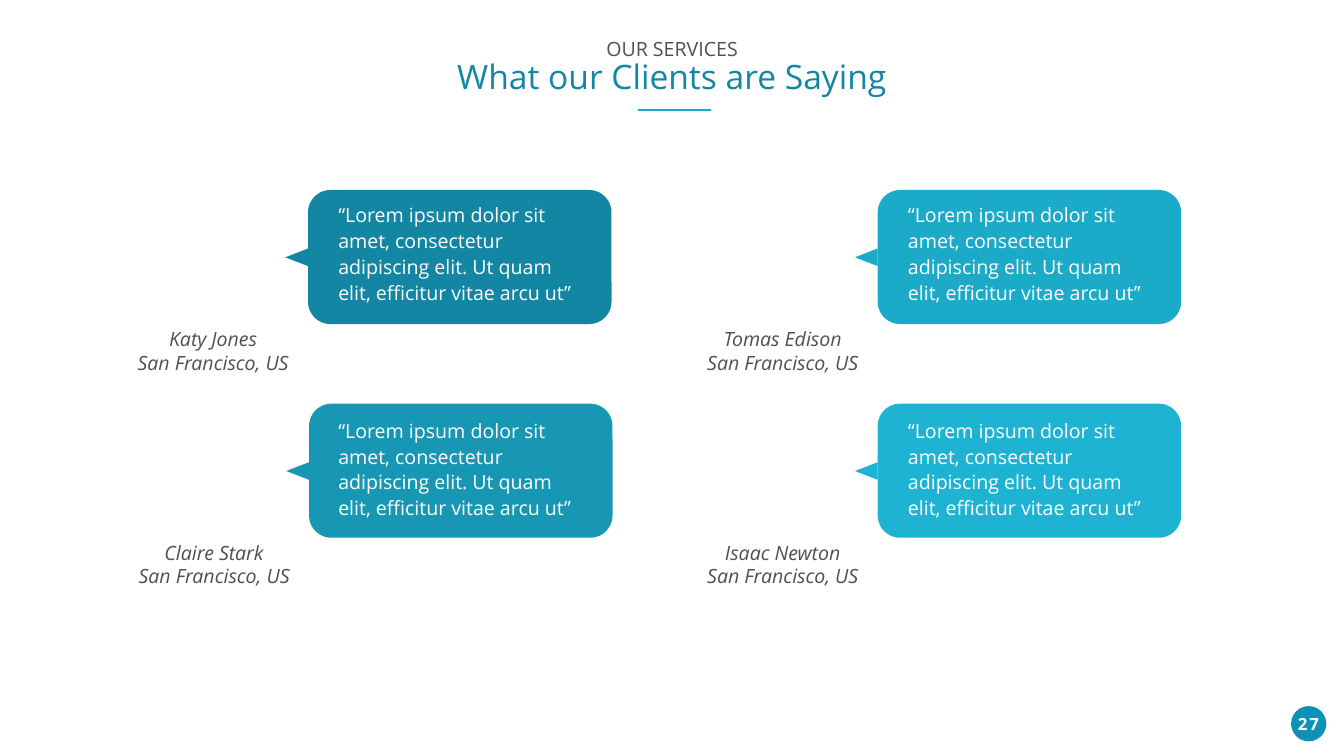
from pptx import Presentation
from pptx.dml.color import RGBColor
from pptx.enum.shapes import MSO_CONNECTOR, MSO_SHAPE
from pptx.enum.text import MSO_ANCHOR, PP_ALIGN
from pptx.oxml.ns import qn
from pptx.util import Pt
from lxml import etree

PX = 9144
LEFT, CENTER = PP_ALIGN.LEFT, PP_ALIGN.CENTER
TOP, MIDDLE = MSO_ANCHOR.TOP, MSO_ANCHOR.MIDDLE
ROUNDED, TRIANGLE, OVAL = MSO_SHAPE.ROUNDED_RECTANGLE, MSO_SHAPE.ISOSCELES_TRIANGLE, MSO_SHAPE.OVAL
STRAIGHT = MSO_CONNECTOR.STRAIGHT

WHITE = RGBColor(0xFF, 0xFF, 0xFF)
GRAY = RGBColor(0x50, 0x50, 0x50)
DEEP_TEAL = RGBColor(0x13, 0x86, 0xA3)
TEAL = RGBColor(0x18, 0x97, 0xB5)
AQUA = RGBColor(0x1C, 0xAA, 0xC9)
SKY = RGBColor(0x1F, 0xB3, 0xD3)
BADGE_BLUE = RGBColor(0x0E, 0x91, 0xB7)

QUOTE = "“Lorem ipsum dolor sit amet, consectetur adipiscing elit. Ut quam elit, efficitur vitae arcu ut”"
CITY = "San Francisco, US"
TITLE_STYLE = {"size": Pt(48), "color": DEEP_TEAL}
LABEL_STYLE = {"size": Pt(28), "color": GRAY}
NAME_STYLE = {"size": Pt(28), "color": GRAY, "italic": True}
QUOTE_STYLE = {"size": Pt(28), "color": WHITE}
NUMBER_STYLE = {"size": Pt(24), "color": WHITE, "bold": True}


def add_filled(shapes, kind, box, color):
    shape = shapes.add_shape(kind, *[value * PX for value in box])
    shape.shadow.inherit = False
    shape.fill.solid()
    shape.fill.fore_color.rgb = color
    shape.line.fill.background()
    return shape


def add_text(box, lines, align=CENTER, anchor=TOP, wrap=False, insets=(10, 5, 10, 5), spacing=1.0):
    frame = slide.shapes.add_textbox(*[value * PX for value in box]).text_frame
    frame.word_wrap = wrap
    frame.vertical_anchor = anchor
    for side, inset in zip(("left", "top", "right", "bottom"), insets):
        setattr(frame, f"margin_{side}", inset * PX)
    for index, (text, style) in enumerate(lines):
        paragraph = frame.add_paragraph() if index else frame.paragraphs[0]
        paragraph.alignment = align
        paragraph.line_spacing = spacing
        run = paragraph.add_run()
        run.text = text
        run.font.name = "Open Sans"
        for name, value in style.items():
            if name == "color":
                run.font.color.rgb = value
            else:
                setattr(run.font, name, value)
    return frame


presentation = Presentation()
presentation.slide_width = 2666 * PX
presentation.slide_height = 1500 * PX
slide = presentation.slides.add_slide(presentation.slide_layouts[6])

add_filled(slide.shapes, OVAL, (2561, 1401, 70, 70), BADGE_BLUE)
number = add_text((2556, 1411, 79, 50), [("27", NUMBER_STYLE)], wrap=True)
number.paragraphs[0].runs[0].font._element.set("spc", "300")

add_text(
    (892, 74, 882, 125),
    [("OUR SERVICES", LABEL_STYLE), ("What our Clients are Saying", TITLE_STYLE)],
    spacing=0.9,
)
underline = slide.shapes.add_connector(STRAIGHT, 1266 * PX, 218 * PX, 1410 * PX, 218 * PX)
underline.line.color.rgb = AQUA
underline.line.width = Pt(3)
etree.SubElement(underline._element.spPr, qn("a:effectLst"))

testimonials = [
    ("Katy Jones", DEEP_TEAL, 611, 377, 651, 403),
    ("Tomas Edison", AQUA, 1741, 377, 1781, 403),
    ("Claire Stark", TEAL, 613, 801, 651, 830),
    ("Isaac Newton", SKY, 1741, 801, 1781, 830),
]
for client, color, left, top, quote_left, quote_top in testimonials:
    bubble = slide.shapes.add_group_shape()
    add_filled(bubble.shapes, ROUNDED, (left, top, 602, 266), color)
    pointer = add_filled(bubble.shapes, TRIANGLE, (left - 40, top + 111, 35, 45), color)
    pointer.rotation = 270
    add_text(
        (left - 368, top + 267, 349, 104),
        [(client, NAME_STYLE), (CITY, NAME_STYLE)],
        insets=(20, 5, 10, 5),
    )
    add_text(
        (quote_left, quote_top, 512, 197),
        [(QUOTE, QUOTE_STYLE)],
        align=LEFT,
        anchor=MIDDLE,
        wrap=True,
        insets=(20, 0, 0, 0),
        spacing=1.1,
    )

presentation.save("out.pptx")
